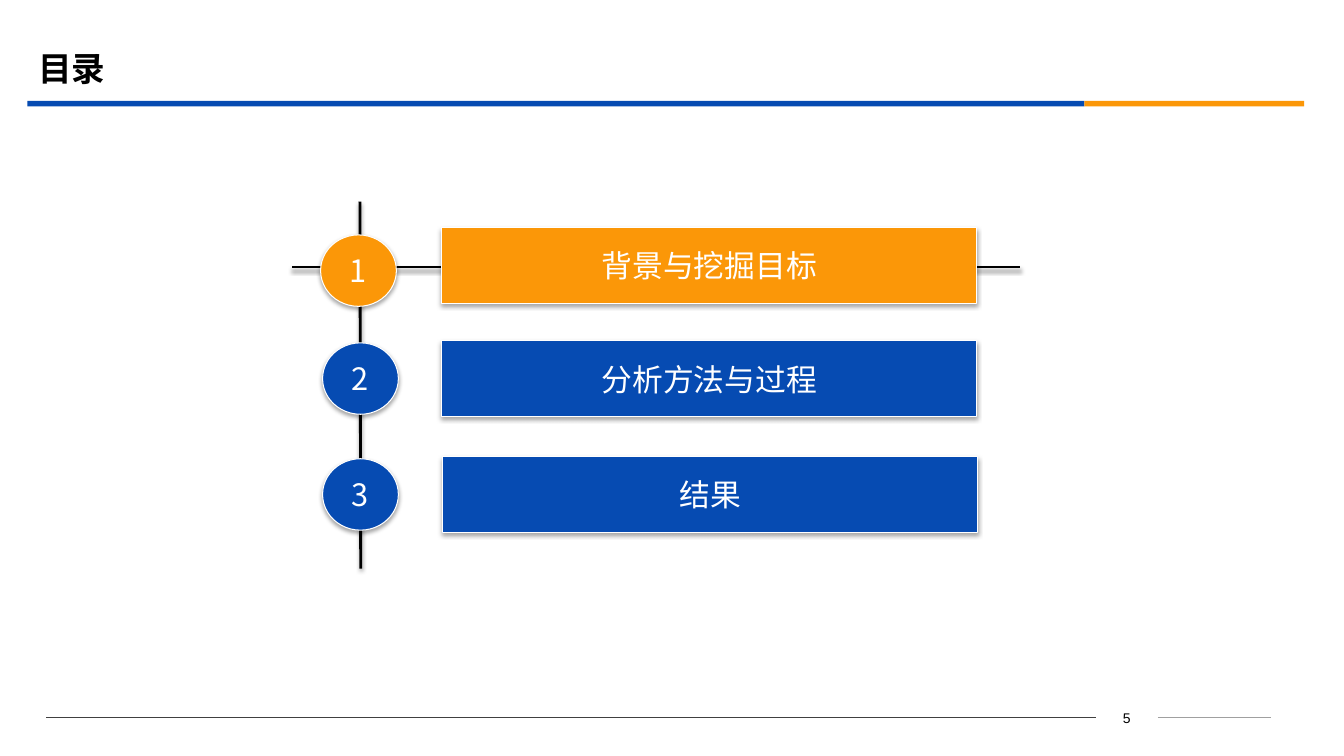
from dataclasses import dataclass

from lxml.etree import SubElement
from pptx import Presentation
from pptx.dml.color import RGBColor
from pptx.enum.shapes import MSO_CONNECTOR, MSO_SHAPE
from pptx.enum.text import MSO_ANCHOR, PP_ALIGN
from pptx.oxml.ns import qn
from pptx.util import Cm, Pt

BLUE = RGBColor(0x06, 0x4B, 0xB2)
ORANGE = RGBColor(0xFB, 0x97, 0x08)
WHITE = RGBColor(0xFF, 0xFF, 0xFF)
BLACK = RGBColor(0x00, 0x00, 0x00)
DARK_GREY = RGBColor(0x40, 0x40, 0x40)
LIGHT_GREY = RGBColor(0xA0, 0xA0, 0xA0)

CHINESE_FONT = "Noto Sans CJK SC"
TITLE_FORMAT = {"name": CHINESE_FONT, "size": Pt(24), "bold": True}
AGENDA_FORMAT = {"name": CHINESE_FONT, "size": Pt(22)}
NUMBER_FORMAT = {"name": "Arial", "size": Pt(10)}


@dataclass(frozen=True)
class Frame:
    """Left, top, width and height in centimetres."""
    left: float
    top: float
    width: float
    height: float

    def lengths(self) -> tuple:
        return Cm(self.left), Cm(self.top), Cm(self.width), Cm(self.height)


@dataclass(frozen=True)
class Rule:
    """A straight line, with ends in centimetres and weight in points."""
    start: tuple
    end: tuple
    color: RGBColor
    weight: float
    shadow_alpha: int = 0


@dataclass(frozen=True)
class AgendaItem:
    label: str
    color: RGBColor
    disk_left: float
    disk_top: float
    bar_left: float
    bar_top: float


FOOTER_RULES = [
    Rule((29.18, 18.08), (32.03, 18.08), LIGHT_GREY, 0.75),
    Rule((1.17, 18.08), (27.61, 18.08), DARK_GREY, 0.75),
]
HEADER_BANDS = [
    (Frame(0.69, 2.54, 26.64, 0.14), BLUE),
    (Frame(27.33, 2.54, 5.54, 0.14), ORANGE),
]
AGENDA_RULES = [
    Rule((9.07, 5.08), (9.09, 14.33), BLACK, 2, 38),
    Rule((7.37, 6.73), (25.7, 6.73), BLACK, 2, 38),
]
AGENDA = [
    AgendaItem("背景与挖掘目标", ORANGE, 8.08, 5.92, 11.13, 5.74),
    AgendaItem("分析方法与过程", BLUE, 8.13, 8.64, 11.13, 8.59),
    AgendaItem("结果", BLUE, 8.13, 11.56, 11.15, 11.51),
]


def set_effects(item, alpha: int, distance: float = 1.8) -> None:
    """Give a soft downward shadow, or none when alpha is zero."""
    effects = SubElement(item._element.spPr, qn("a:effectLst"))
    if alpha:
        shadow = SubElement(effects, qn("a:outerShdw"), blurRad=str(Pt(3.1)),
                            dist=str(Pt(distance)), dir="5400000", rotWithShape="0")
        color = SubElement(shadow, qn("a:srgbClr"), val=str(BLACK))
        SubElement(color, qn("a:alpha"), val=str(alpha * 1000))


def write_text(box, text: str, values: dict, color: RGBColor,
               align: PP_ALIGN, wrap: bool, anchor: MSO_ANCHOR) -> None:
    frame = box.text_frame
    frame.word_wrap = wrap
    frame.vertical_anchor = anchor
    para = frame.paragraphs[0]
    para.alignment = align
    span = para.add_run()
    span.text = text
    for name, value in values.items():
        setattr(span.font, name, value)
    span.font.color.rgb = color
    SubElement(span.font._element, qn("a:ea"), typeface=values["name"])


def draw_rule(page, rule: Rule) -> None:
    ends = [Cm(value) for value in rule.start + rule.end]
    line = page.shapes.add_connector(MSO_CONNECTOR.STRAIGHT, *ends)
    line.line.color.rgb = rule.color
    line.line.width = Pt(rule.weight)
    set_effects(line, rule.shadow_alpha, 1.6)


def draw_band(page, frame: Frame, color: RGBColor) -> None:
    band = page.shapes.add_shape(MSO_SHAPE.RECTANGLE, *frame.lengths())
    band.shadow.inherit = False
    band.fill.solid()
    band.fill.fore_color.rgb = color
    band.line.fill.background()


def draw_agenda_shape(page, kind: MSO_SHAPE, frame: Frame,
                      color: RGBColor, text: str) -> None:
    shape = page.shapes.add_shape(kind, *frame.lengths())
    shape.fill.solid()
    shape.fill.fore_color.rgb = color
    shape.line.color.rgb = WHITE
    shape.line.width = Pt(0.75)
    set_effects(shape, 35)
    write_text(shape, text, AGENDA_FORMAT, WHITE, PP_ALIGN.CENTER, False, MSO_ANCHOR.MIDDLE)


def draw_label(page, frame: Frame, text: str, values: dict,
               align: PP_ALIGN, anchor: MSO_ANCHOR) -> None:
    box = page.shapes.add_textbox(*frame.lengths())
    write_text(box, text, values, BLACK, align, True, anchor)


def main() -> None:
    deck = Presentation()
    deck.slide_width, deck.slide_height = Cm(33.87), Cm(19.05)
    page = deck.slides.add_slide(deck.slide_layouts[6])

    # Footer and header
    draw_label(page, Frame(27.61, 17.75, 1.57, 0.64), "5", NUMBER_FORMAT,
               PP_ALIGN.CENTER, MSO_ANCHOR.TOP)
    for rule in FOOTER_RULES:
        draw_rule(page, rule)
    for frame, color in HEADER_BANDS:
        draw_band(page, frame, color)
    draw_label(page, Frame(0.71, 0.99, 30.48, 1.47), "目录", TITLE_FORMAT,
               PP_ALIGN.LEFT, MSO_ANCHOR.MIDDLE)

    # Agenda: crossing lines, then a numbered disk and a bar per item
    for rule in AGENDA_RULES:
        draw_rule(page, rule)
    for number, item in enumerate(AGENDA, start=1):
        disk = Frame(item.disk_left, item.disk_top, 1.91, 1.8)
        bar = Frame(item.bar_left, item.bar_top, 13.49, 1.91)
        draw_agenda_shape(page, MSO_SHAPE.OVAL, disk, item.color, str(number))
        draw_agenda_shape(page, MSO_SHAPE.ACTION_BUTTON_CUSTOM, bar, item.color, item.label)

    deck.save("out.pptx")


if __name__ == "__main__":
    main()
